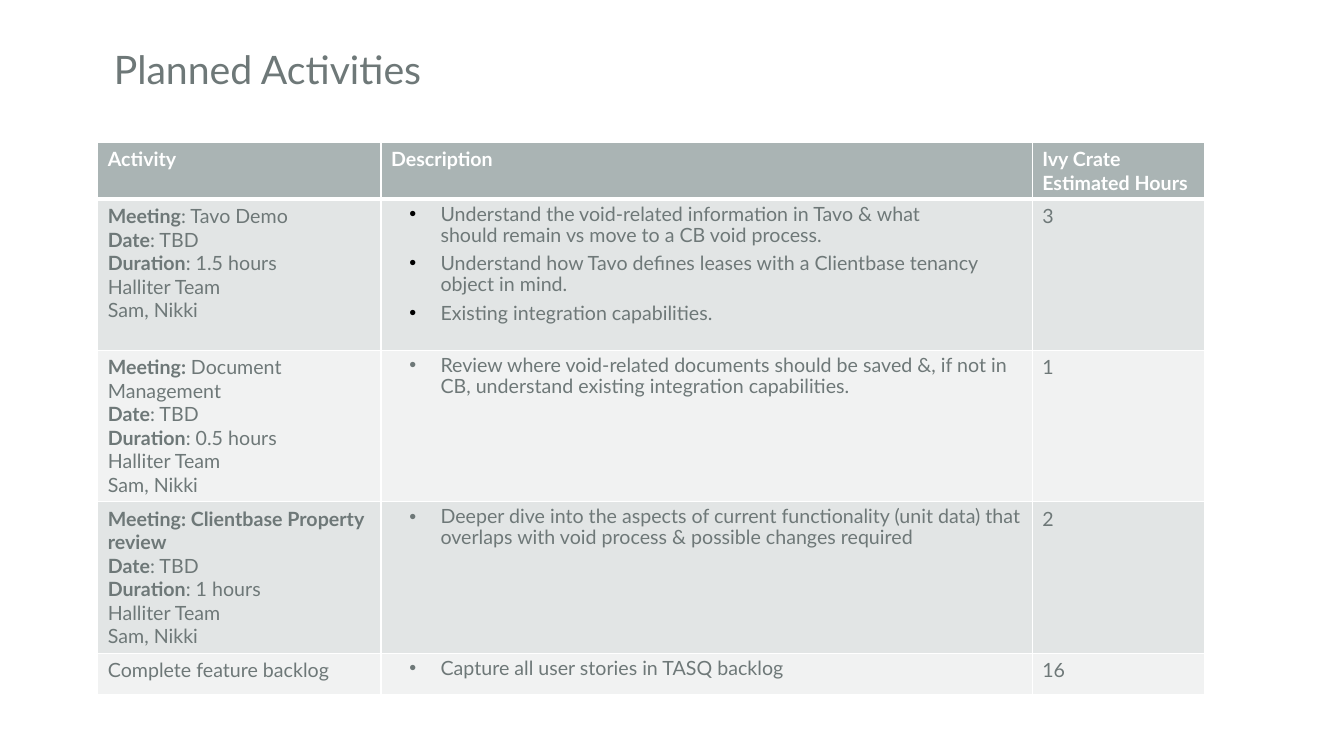
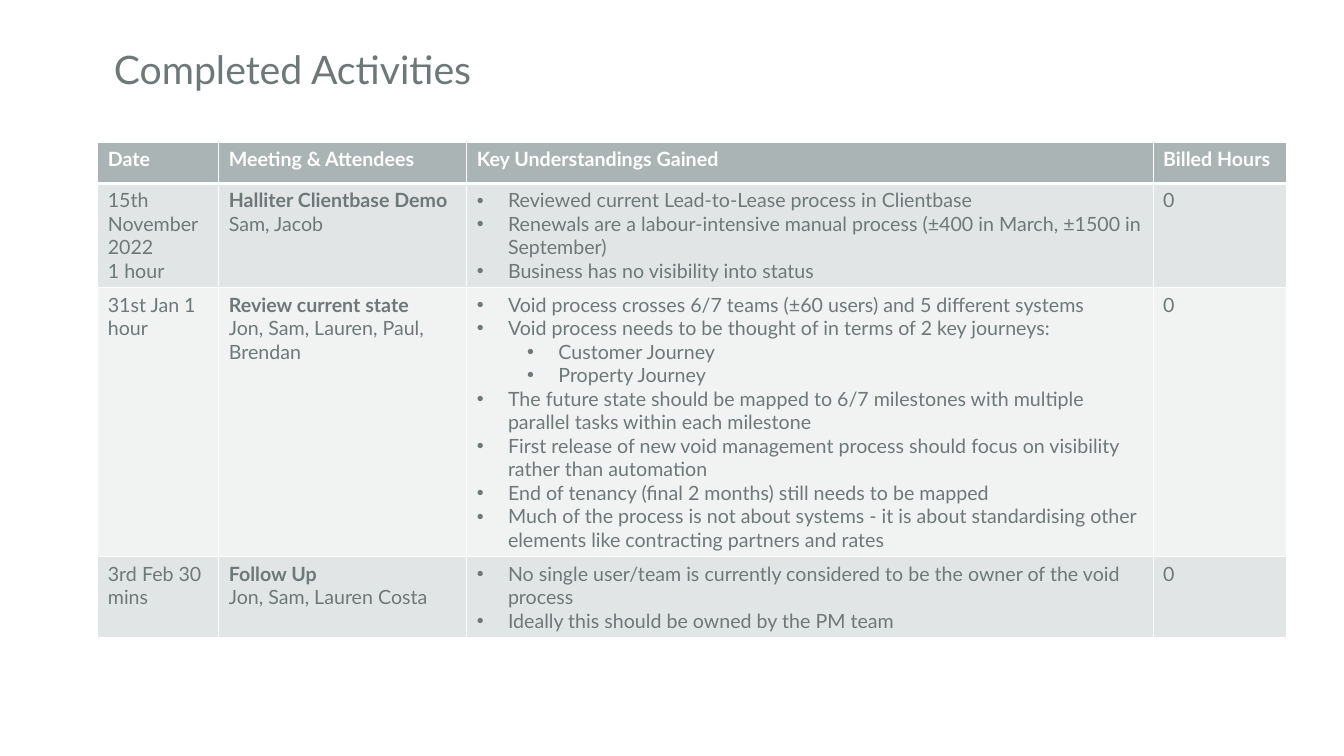
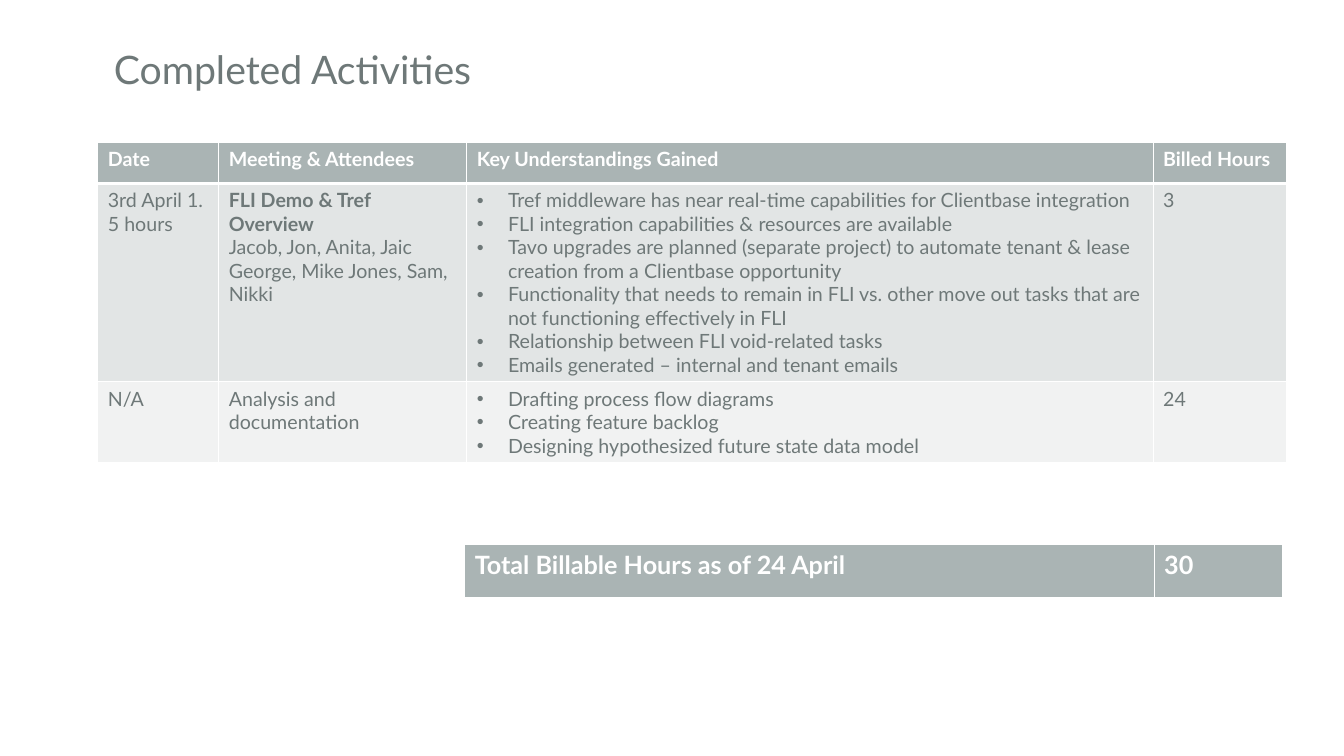
from pptx import Presentation
from pptx.dml.color import RGBColor
from pptx.enum.text import MSO_ANCHOR, PP_ALIGN
from pptx.oxml.xmlchemy import OxmlElement
from pptx.util import Inches, Pt

HUE = {"text": "6E7878", "head": "AAB4B4", "odd": "E2E5E5",
       "even": "F1F2F2", "line": "FFFFFF", "dot": "000000"}
FACE = "Lato"
UNIT = Inches(0.1)  # one step of the slide grid
WIDE, HIGH = 133.33, 75
TITLE = (10.3, 4, 94.3, 6.3)
LEFT, TOP = 9.7, 14.1
HARD = chr(160)  # space that does not break

PLAN = {"cols": (28.1, 64.6, 17.1), "dots": 1, "indent": (4.9, 4.9),
        "tight": True}
DONE = {"cols": (12, 24.6, 68.1, 13.2), "dots": 2, "indent": (3.1, 8.1),
        "tight": False}
SUM = {"cols": (68.4, 12.7), "dots": None}
HANG = 3.1

# A bar ends the bold part of a line; ">" marks a second-level line
TEAM = ["Halliter Team", "Sam, Nikki"]
PLANNED = [
    [["Activity"], ["Description"], ["Ivy Crate Estimated Hours"]],
    [["Meeting|: Tavo Demo", "Date|: TBD", "Duration|: 1.5 hours"] + TEAM,
     ["Understand the void-related information in Tavo & what "
      f"should{HARD}remain vs move to a CB void process.",
      "Understand how Tavo defines leases with a Clientbase tenancy "
      f"object in{HARD}mind.",
      "Existing integration capabilities."], ["3"]],
    [["Meeting: |Document Management", "Date|: TBD",
      "Duration|: 0.5 hours"] + TEAM,
     ["Review where void-related documents should be saved &, if not in CB, "
      "understand existing integration capabilities."], ["1"]],
    [["Meeting: Clientbase Property review|", "Date|: TBD",
      "Duration|: 1 hours"] + TEAM,
     ["Deeper dive into the aspects of current functionality (unit data) that "
      "overlaps with void process & possible changes required"], ["2"]],
    [["Complete feature backlog"],
     ["Capture all user stories in TASQ backlog"], ["16"]],
]
HEADS = [["Date"], ["Meeting & Attendees"], ["Key Understandings Gained"],
         ["Billed Hours"]]
EARLY = [
    HEADS,
    [["15th November 2022", "1 hour"],
     ["Halliter Clientbase Demo|", "Sam, Jacob"],
     ["Reviewed current Lead-to-Lease process in Clientbase",
      "Renewals are a labour-intensive manual process (±400 in March, "
      "±1500 in September)",
      "Business has no visibility into status"], ["0"]],
    [["31st Jan 1 hour"],
     ["Review current state|", "Jon, Sam, Lauren, Paul, Brendan"],
     ["Void process crosses 6/7 teams (±60 users) and 5 different systems",
      "Void process needs to be thought of in terms of 2 key journeys:",
      ">Customer Journey",
      ">Property Journey",
      "The future state should be mapped to 6/7 milestones with multiple "
      "parallel tasks within each milestone",
      "First release of new void management process should focus on "
      "visibility rather than automation",
      "End of tenancy (final 2 months) still needs to be mapped",
      "Much of the process is not about systems - it is about standardising "
      "other elements like contracting partners and rates"], ["0"]],
    [["3rd Feb 30 mins"],
     ["Follow Up|", "Jon, Sam, Lauren Costa"],
     ["No single user/team is currently considered to be the owner of the "
      "void process",
      "Ideally this should be owned by the PM team"], ["0"]],
]
LATE = [
    HEADS,
    [["3rd April 1. 5 hours"],
     ["FLI Demo & Tref Overview|",
      "Jacob, Jon, Anita, Jaic George, Mike Jones, Sam, Nikki"],
     ["Tref middleware has near real-time capabilities for Clientbase "
      "integration",
      "FLI integration capabilities & resources are available",
      "Tavo upgrades are planned (separate project) to automate tenant & "
      "lease creation from a Clientbase opportunity",
      "Functionality that needs to remain in FLI vs. other move out tasks "
      "that are not functioning effectively in FLI",
      "Relationship between FLI void-related tasks",
      "Emails generated – internal and tenant emails"], ["3"]],
    [["N/A"], ["Analysis and documentation"],
     ["Drafting process flow diagrams",
      "Creating feature backlog",
      "Designing hypothesized future state data model"], ["24"]],
]
TOTAL = [[["Total Billable Hours as of 24 April"], ["30"]]]


def span(steps):
    return round(steps * UNIT)


def style(run, size, hue, bold=False):
    font = run.font
    font.name, font.size, font.bold = FACE, Pt(size), bold
    font.color.rgb = RGBColor.from_string(HUE[hue])


def node(host, tag, **marks):
    """Append an XML element with its attributes."""
    item = OxmlElement(tag)
    for key, value in marks.items():
        item.set(key, str(value))
    host.append(item)
    return item


def edge(cell, top, base):
    """Draw the four cell borders, widths in points."""
    props = cell._tc.get_or_add_tcPr()
    for side, width in zip("LRTB", (1, 1, top, base)):
        line = node(props, f"a:ln{side}", w=Pt(width))
        node(node(line, "a:solidFill"), "a:srgbClr", val=HUE["line"])


def bullet(para, indent, black):
    props = para._p.get_or_add_pPr()
    props.set("marL", str(span(indent)))
    props.set("indent", str(-span(HANG)))
    if black:
        node(node(props, "a:buClr"), "a:srgbClr", val=HUE["dot"])
    node(props, "a:buFont", typeface="Arial")
    node(props, "a:buChar", char="•")


def write(cell, lines, size, head):
    """Fill a cell; the part of a line before a bar is bold."""
    frame = cell.text_frame
    frame.text = "\n".join(line.lstrip(">") for line in lines)
    for para in frame.paragraphs:
        bold, bar, rest = para.text.rpartition("|")
        if bar:
            para.text = bold
            if rest:
                para.add_run().text = rest
        for spot, run in enumerate(para.runs):
            style(run, size, "line" if head else "text",
                  head or bool(bar and spot == 0))


def listing(cell, lines, plan, black):
    """Turn the lines of a cell into bullets."""
    tight = plan["tight"]
    for spot, (para, line) in enumerate(zip(cell.text_frame.paragraphs, lines)):
        para.level = int(tight or line.startswith(">"))
        bullet(para, plan["indent"][para.level], black)
        if tight:
            para.line_spacing = 0.9
            para.space_before = Pt(5 if spot else 0)


def grid(slide, left, top, rows, tall, plan, size=14):
    """Place a table with a header row and banded body rows."""
    cols = plan["cols"]
    table = slide.shapes.add_table(
        len(rows), len(cols), span(left), span(top),
        span(sum(cols)), span(sum(tall))).table
    table.horz_banding = False
    for col, width in zip(table.columns, cols):
        col.width = span(width)
    for r, row in enumerate(rows):
        table.rows[r].height = span(tall[r])
        band = "head" if r == 0 else "odd" if r % 2 else "even"
        for c, lines in enumerate(row):
            cell = table.cell(r, c)
            edge(cell, 3 if r == 1 else 1, 3 if r == 0 else 1)
            cell.fill.solid()
            cell.fill.fore_color.rgb = RGBColor.from_string(HUE[band])
            write(cell, lines, size, r == 0)
            if r and c == plan["dots"]:
                listing(cell, lines, plan, plan["tight"] and r == 1)


def page(deck, name):
    """Add a slide with its title in place."""
    slide = deck.slides.add_slide(deck.slide_layouts[5])
    title = slide.shapes.title
    title.left, title.top, title.width, title.height = map(span, TITLE)
    frame = title.text_frame
    frame.text = name
    frame.word_wrap = True
    frame.vertical_anchor = MSO_ANCHOR.MIDDLE
    para = frame.paragraphs[0]
    para.alignment, para.line_spacing = PP_ALIGN.LEFT, 0.9
    style(para.runs[0], 28, "text")
    return slide


def main():
    deck = Presentation()
    deck.slide_width, deck.slide_height = span(WIDE), span(HIGH)

    # Planned work
    grid(page(deck, "Planned Activities"), LEFT, TOP, PLANNED,
         (5.6, 15, 15, 15, 4.1), PLAN)

    # Finished work
    grid(page(deck, "Completed Activities"), LEFT, TOP, EARLY,
         (4.1, 10.3, 26.7, 8), DONE)
    last = page(deck, "Completed Activities")
    grid(last, LEFT, TOP, LATE, (4.1, 19.6, 8), DONE)

    # Total hours
    grid(last, 46.1, 54, TOTAL, (5.4,), SUM, 18)

    deck.save("out.pptx")


if __name__ == "__main__":
    main()
